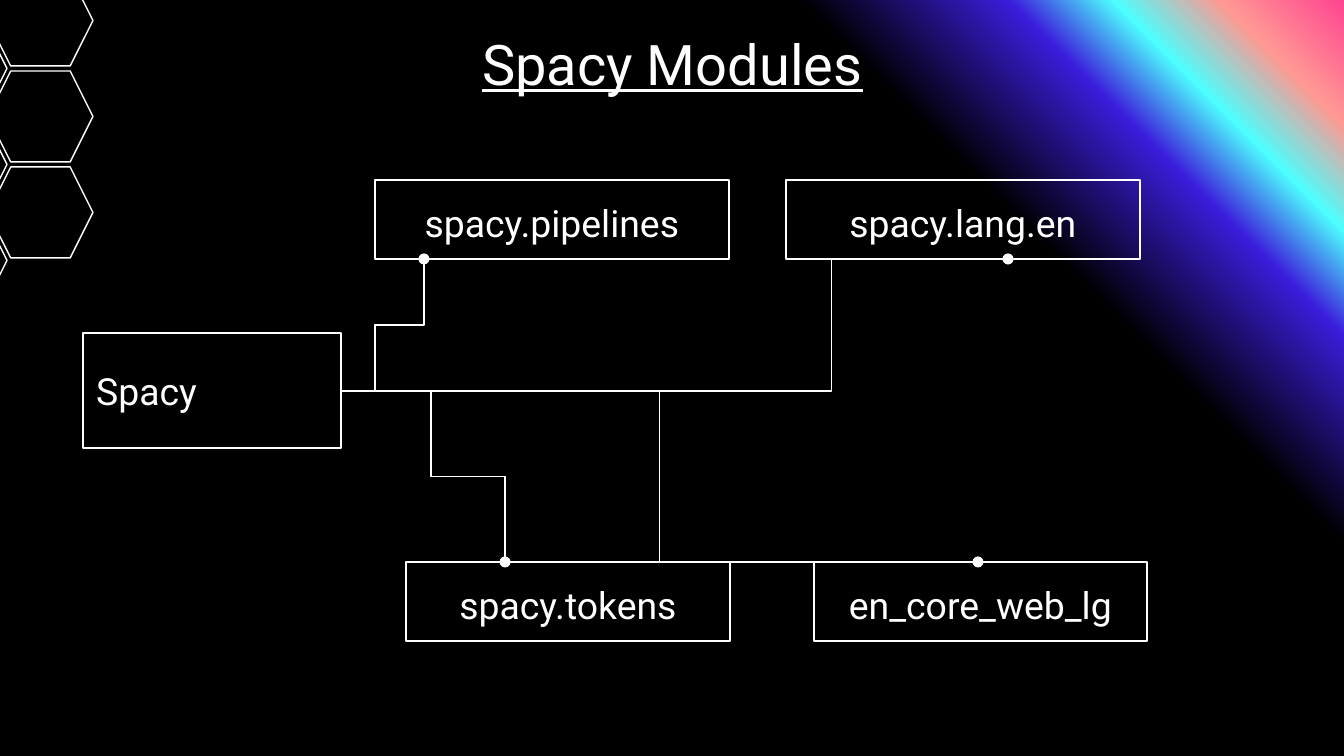
import pptx
import pptx.util
import pptx.oxml
import pptx.oxml.ns
import pptx.dml.color
import pptx.enum.shapes
import pptx.enum.text

PX = 914400 / 134.4
FONT = "Roboto"
WHITE = pptx.dml.color.RGBColor(0xFF, 0xFF, 0xFF)
BLACK = pptx.dml.color.RGBColor(0x00, 0x00, 0x00)
BLUE = pptx.dml.color.RGBColor(0x3A, 0x1D, 0xDB)
CYAN = pptx.dml.color.RGBColor(0x4D, 0xFF, 0xFF)
SALMON = pptx.dml.color.RGBColor(0xFF, 0x9A, 0x94)
PINK = pptx.dml.color.RGBColor(0xFF, 0x44, 0x91)
GLOW = [(0, BLACK), (74, BLACK), (84, BLUE), (89, CYAN), (94, SALMON), (100, PINK)]

SHAPE = pptx.enum.shapes.MSO_SHAPE
ALIGN = pptx.enum.text.PP_ALIGN
ANCHOR = pptx.enum.text.MSO_ANCHOR


def px(*lengths):
    return [pptx.util.Emu(round(length * PX)) for length in lengths]


def outline(line):
    line.color.rgb = WHITE
    line.width = pptx.util.Pt(0.75)


def write(shape, text, size, align, anchor):
    frame = shape.text_frame
    frame.word_wrap = True
    frame.auto_size = pptx.enum.text.MSO_AUTO_SIZE.NONE
    frame.vertical_anchor = anchor
    inset = pptx.util.Inches(0.1)
    frame.margin_left = frame.margin_right = inset
    frame.margin_top = frame.margin_bottom = inset
    paragraph = frame.paragraphs[0]
    paragraph.text = text
    paragraph.alignment = align
    paragraph.font.name = FONT
    paragraph.font.size = pptx.util.Pt(size)
    paragraph.font.color.rgb = WHITE
    return paragraph


def paint_background(slide):
    """Diagonal glow that rises to the top right corner."""
    fill = slide.background.fill
    fill.gradient()
    fill.gradient_angle = 45
    stops = slide.element.find(".//" + pptx.oxml.ns.qn("a:gsLst"))
    for stop in list(stops):
        stops.remove(stop)
    for percent, color in GLOW:
        stops.append(pptx.oxml.parse_xml(
            f'<a:gs {pptx.oxml.ns.nsdecls("a")} pos="{percent * 1000}">'
            f'<a:srgbClr val="{color}"/></a:gs>'))


def add_honeycomb(slide, left, top, width, height):
    """Two staggered columns of hexagons; the box is that of the first cell."""
    column_step, row_step = 86, 96
    for column, count in enumerate((4, 3)):
        for row in range(count):
            x = left + column * column_step
            y = top + row * row_step + column * row_step // 2
            cell = slide.shapes.add_shape(SHAPE.HEXAGON, *px(x, y, width, height))
            cell.adjustments[0] = 0.25
            cell.fill.background()
            outline(cell.line)
            cell.shadow.inherit = False


def add_title(slide, left, top, width, height):
    title = slide.shapes.title
    title.left, title.top, title.width, title.height = px(left, top, width, height)
    paragraph = write(title, "Spacy Modules", 30, ALIGN.CENTER, ANCHOR.TOP)
    paragraph.font.underline = True


def add_module(slide, name, left, top, width, height, align=ALIGN.CENTER, spacing=1.15):
    module = slide.shapes.add_shape(SHAPE.RECTANGLE, *px(left, top, width, height))
    module.fill.background()
    outline(module.line)
    module.shadow.inherit = False
    write(module, name, 20, align, ANCHOR.MIDDLE).line_spacing = spacing


def add_branch(slide, start, end, upright=False):
    """Elbow line with a dot at its end; an upright one leaves vertically."""
    (x1, y1), (x2, y2) = start, end
    if upright:
        # Lay the elbow flat about its centre, then turn it a quarter back
        cx, cy = (x1 + x2) / 2, (y1 + y2) / 2
        x1, y1, x2, y2 = (cx - (y1 - cy), cy + (x1 - cx),
                          cx - (y2 - cy), cy + (x2 - cx))
    branch = slide.shapes.add_connector(
        pptx.enum.shapes.MSO_CONNECTOR.ELBOW, *px(x1, y1, x2, y2))
    outline(branch.line)
    properties = branch.element.spPr
    if upright:
        properties.find(pptx.oxml.ns.qn("a:xfrm")).set("rot", str(270 * 60000))
    namespace = pptx.oxml.ns.nsdecls("a")
    branch.line._get_or_add_ln().append(
        pptx.oxml.parse_xml(f'<a:tailEnd {namespace} type="oval"/>'))
    properties.append(pptx.oxml.parse_xml(f"<a:effectLst {namespace}/>"))


def add_module_tree(slide, left, top):
    """Root on the left, two modules above the trunk and two below."""
    trunk, upper, lower = top + 211, top + 79, top + 382
    add_module(slide, "Spacy", left, top + 153, 258, 115, ALIGN.LEFT, 1.0)
    for name, x, y, width in [
        ("spacy.pipelines", 292, top, 354),
        ("spacy.lang.en", 703, top, 354),
        ("spacy.tokens", 323, lower, 324),
        ("en_core_web_lg", 731, lower, 333),
    ]:
        add_module(slide, name, left + x, y, width, 79)
    for x1, x2, end, upright in [
        (292, 341, upper, True),
        (348, 422, lower, True),
        (258, 895, lower, False),
        (572, 925, upper, False),
    ]:
        add_branch(slide, (left + x1, trunk), (left + x2, end), upright)


def main():
    deck = pptx.Presentation()
    deck.slide_width, deck.slide_height = px(1344, 756)
    slide = deck.slides.add_slide(deck.slide_layouts.get_by_name("Title Only"))
    paint_background(slide)
    add_honeycomb(slide, -98, -73, 105, 91)
    add_title(slide, 106, 16, 1133, 133)
    add_module_tree(slide, 83, 180)
    deck.save("out.pptx")


if __name__ == "__main__":
    main()
